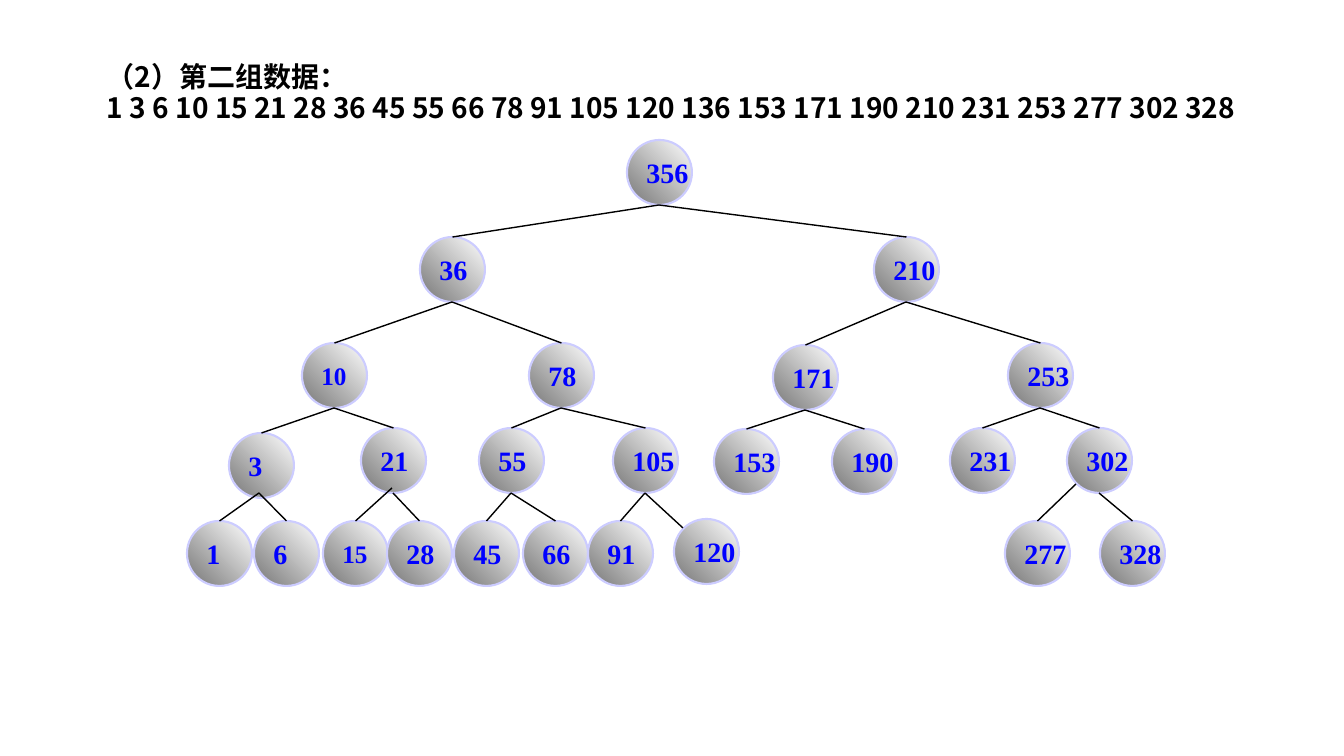
import pptx
import pptx.util
import pptx.dml.color
import pptx.enum.shapes
import pptx.enum.text
from lxml import etree

PX = 914400 / 100.8
COLORS = {"dark": "767676", "light": "FFFFFF", "rim": "CCCCFF",
          "number": "0000FF", "black": "000000"}
DIAMETER = 65
A = "{http://schemas.openxmlformats.org/drawingml/2006/main}"

# number: (left, top, parent)
NODES = {
    "356": (627, 140, None),
    "36": (420, 237, "356"), "210": (874, 237, "356"),
    "10": (302, 343, "36"), "78": (529, 343, "36"),
    "171": (773, 345, "210"), "253": (1008, 343, "210"),
    "3": (229, 433, "10"), "21": (361, 428, "10"),
    "55": (479, 428, "78"), "105": (613, 428, "78"),
    "153": (714, 429, "171"), "190": (832, 429, "171"),
    "231": (950, 428, "253"), "302": (1067, 428, "253"),
    "1": (187, 521, "3"), "6": (254, 521, "3"),
    "15": (323, 521, "21"), "28": (387, 521, "21"),
    "45": (454, 521, "55"), "66": (523, 521, "55"),
    "91": (588, 521, "105"), "120": (674, 519, "105"),
    "277": (1005, 521, "302"), "328": (1100, 521, "302"),
}
# Branches that do not leave from the bottom of the parent, by child
STARTS = {"1": (259, 493), "6": (259, 493), "15": (392, 488), "277": (1076, 484)}
# Branches that do not arrive at the top of the child
ENDS = {"120": (683, 528)}
SMALL = {"10", "15"}


def px(*lengths):
    return [pptx.util.Emu(round(n * PX)) for n in lengths]


def rgb(name):
    return pptx.dml.color.RGBColor.from_string(COLORS[name])


prs = pptx.Presentation()
prs.slide_width, prs.slide_height = px(1344, 756)
s = prs.slides.add_slide(prs.slide_layouts[6])

circles = {}
for number, (left, top, parent) in NODES.items():
    sp = s.shapes.add_shape(pptx.enum.shapes.MSO_SHAPE.OVAL,
                            *px(left, top, DIAMETER, DIAMETER))
    sp.shadow.inherit = False
    sp.fill.gradient()
    sp.fill.gradient_angle = 45
    for stop, shade in zip(sp.fill.gradient_stops, ("dark", "light")):
        stop.color.rgb = rgb(shade)
    sp.line.color.rgb = rgb("rim")
    sp.line.width = pptx.util.Pt(1.5)
    tf = sp.text_frame
    tf.word_wrap = False
    tf.vertical_anchor = pptx.enum.text.MSO_ANCHOR.MIDDLE
    p = tf.paragraphs[0]
    p.text = number
    p.alignment = pptx.enum.text.PP_ALIGN.LEFT
    p.font.name = "Times New Roman"
    p.font.size = pptx.util.Pt(18 if number in SMALL else 20)
    p.font.bold = True
    p.font.color.rgb = rgb("number")
    circles[number] = sp

for number, (left, top, parent) in NODES.items():
    if parent is None:
        continue
    parent_left, parent_top, _ = NODES[parent]
    start = STARTS.get(number, (parent_left + DIAMETER // 2, parent_top + DIAMETER))
    end = ENDS.get(number, (left + DIAMETER // 2, top))
    branch = s.shapes.add_connector(pptx.enum.shapes.MSO_CONNECTOR.STRAIGHT,
                                    *px(*start, *end))
    if number not in ENDS:
        branch.end_connect(circles[number], 0)
    branch.line.color.rgb = rgb("black")
    branch.line.width = pptx.util.Pt(1)
    etree.SubElement(branch._element.spPr, A + "effectLst")

tf = s.shapes.add_textbox(*px(97, 21, 1151, 146)).text_frame
tf.word_wrap = True
tf.vertical_anchor = pptx.enum.text.MSO_ANCHOR.MIDDLE
tf.text = ("（2）第二组数据：\n"
           "1 3 6 10 15 21 28 36 45 55 66 78 91 105 120 136 153 171 "
           "190 210 231 253 277 302 328")
for p in tf.paragraphs:
    p.line_spacing = 0.9
    p.font.size = pptx.util.Pt(20)
    p.font.bold = True
    p.font.color.rgb = rgb("black")
    p.font.name = "Noto Sans CJK SC"
    etree.SubElement(p.font._element if hasattr(p.font, "_element") else p.font._rPr,
                     A + "ea", typeface="Noto Sans CJK SC")

prs.save("out.pptx")
